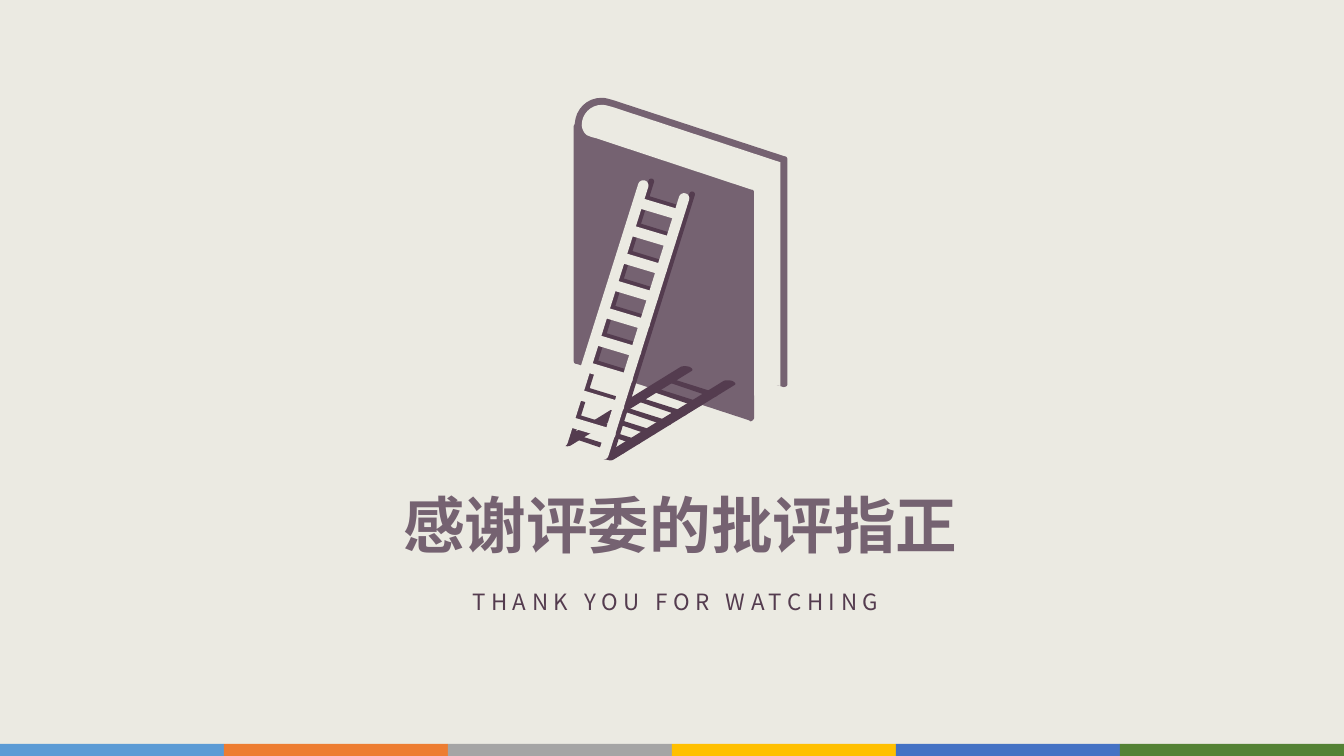
from math import atan2, cos, pi, sin

from lxml import etree
from pptx import Presentation
from pptx.dml.color import RGBColor
from pptx.enum.shapes import MSO_SHAPE
from pptx.enum.text import MSO_AUTO_SIZE, PP_ALIGN
from pptx.oxml.ns import qn
from pptx.util import Inches, Pt

RECTANGLE = MSO_SHAPE.RECTANGLE
CENTER = PP_ALIGN.CENTER
GROW = MSO_AUTO_SIZE.SHAPE_TO_FIT_TEXT

COLUMNS, ROWS = 1333, 750
FONT = "Noto Sans CJK SC"
PAPER, COVER, SHADE = "EBEAE2", "756271", "543C4F"
BANDS = ["5B9BD5", "ED7D31", "A5A5A5", "FFC000", "4472C4", "548235"]


def color(code):
    return RGBColor.from_string(code)


def write(frame, text, size, ink, bold=False, spacing=0):
    paragraph = frame.paragraphs[0]
    paragraph.alignment = CENTER
    run = paragraph.add_run()
    run.text = text
    run.font.size = Pt(size)
    run.font.bold = bold
    run.font.color.rgb = color(ink)
    run.font.name = FONT
    properties = run._r.get_or_add_rPr()
    etree.SubElement(properties, qn("a:ea")).set("typeface", FONT)
    if spacing:
        properties.set("spc", str(spacing * 100))


def trace(steps, samples=8):
    points = [steps[0]]
    for step in steps[1:]:
        if len(step) == 2:
            points.append(step)
            continue
        curve = [points[-1], step[:2], step[2:4], step[4:]]
        for i in range(1, samples + 1):
            t = i / samples
            weights = [(1 - t) ** 3, 3 * t * (1 - t) ** 2, 3 * t * t * (1 - t), t ** 3]
            points.append(tuple(sum(w * p[axis] for w, p in zip(weights, curve))
                                for axis in (0, 1)))
    return points


def rounded_bar(start, end, radius, samples=8):
    heading = atan2(end[1] - start[1], end[0] - start[0])
    points = []
    for (x, y), first in ((start, heading + pi / 2), (end, heading - pi / 2)):
        for i in range(samples + 1):
            angle = first + pi * i / samples
            points.append((x + radius * cos(angle), y + radius * sin(angle)))
    return points


class Slide:
    def __init__(self, deck, background):
        self.slide = deck.slides.add_slide(deck.slide_layouts[6])
        self.shapes = self.slide.shapes
        self.column = deck.slide_width / COLUMNS
        self.row = deck.slide_height / ROWS
        fill = self.slide.background.fill
        fill.solid()
        fill.fore_color.rgb = color(background)

    def place(self, x, y):
        return round(x * self.column), round(y * self.row)

    def paint(self, shape, fill):
        shape.shadow.inherit = False
        shape.fill.solid()
        shape.fill.fore_color.rgb = color(fill)
        shape.line.fill.background()

    def rectangle(self, x, y, width, height, fill):
        box = self.place(x, y) + self.place(width, height)
        self.paint(self.shapes.add_shape(RECTANGLE, *box), fill)

    def outline(self, points, fill, shift=(0, 0)):
        corners = [self.place(x + shift[0], y + shift[1]) for x, y in points]
        builder = self.shapes.build_freeform(*corners[0])
        builder.add_line_segments(corners[1:], close=True)
        self.paint(builder.convert_to_shape(), fill)

    def repeat(self, points, fill, count, step):
        for i in range(count):
            self.outline(points, fill, (i * step[0], i * step[1]))

    def text(self, x, y, width, height, words, **style):
        box = self.place(x, y) + self.place(width, height)
        frame = self.shapes.add_textbox(*box).text_frame
        frame.word_wrap = False
        frame.auto_size = GROW
        write(frame, words, **style)


deck = Presentation()
deck.slide_width, deck.slide_height = Inches(13.33), Inches(7.5)
closing = Slide(deck, PAPER)

band_width = COLUMNS / len(BANDS)
for i, band in enumerate(BANDS):
    closing.rectangle(i * band_width, 738, band_width, 12, band)

closing.text(387, 478, 576, 84, "感谢评委的批评指正", size=44, ink=COVER, bold=True)
closing.text(439, 579, 462, 37, "THANK YOU FOR WATCHING", size=16, ink=SHADE, spacing=4)

book = trace([
    (778, 155), (607, 99), (603, 98, 600, 97, 597, 97),
    (582, 97, 571, 108, 570, 123), (569, 125), (569, 358),
    (569, 360, 570, 361, 572, 361), (743, 417), (744, 418),
    (746, 418, 748, 416, 748, 414), (748, 375), (777, 384),
    (779, 384, 781, 383, 781, 381), (781, 158), (781, 157, 780, 155, 778, 155)])
pages = trace([
    (748, 191), (748, 393), (751, 386, 758, 382, 766, 382),
    (768, 382, 771, 382, 774, 383), (774, 161), (607, 106),
    (603, 105, 600, 104, 597, 104), (586, 104, 577, 113, 577, 124),
    (577, 127, 579, 132, 582, 134), (586, 136, 591, 137, 591, 137),
    (745, 188), (747, 188, 748, 189, 748, 191)])
floor_rail = trace([
    (559, 442), (557, 442), (555, 441, 553, 439, 555, 438), (675, 364),
    (677, 363, 681, 363, 684, 364), (686, 365, 688, 367, 686, 368),
    (566, 442), (564, 443, 562, 443, 559, 442)])
floor_rung = trace([
    (704, 393), (703, 393), (662, 379), (658, 378, 658, 377, 659, 376),
    (661, 375, 664, 375, 667, 376), (708, 389),
    (711, 390, 712, 392, 711, 393), (709, 394, 707, 394, 704, 393)])

RUNG_COUNT, RUNG_STEP = 9, (-8.45, 27.2)
RAIL_STEP = (40.5, 12.8)

closing.outline(book, COVER)
closing.repeat(rounded_bar((567, 433), (646, 180), 2.8), SHADE, 2, RAIL_STEP)
closing.repeat(rounded_bar((642, 197), (681, 209), 2.8), SHADE, RUNG_COUNT, RUNG_STEP)
closing.repeat(floor_rail, SHADE, 2, (42.5, 14))
closing.repeat(floor_rung, SHADE, 7, (-15.3, 9.4))
closing.repeat(rounded_bar((558, 438), (638, 184), 5.2), PAPER, 2, RAIL_STEP)
closing.repeat(rounded_bar((633, 201), (673, 213), 5.2), PAPER, RUNG_COUNT, RUNG_STEP)
closing.outline(pages, PAPER)

deck.save("out.pptx")
